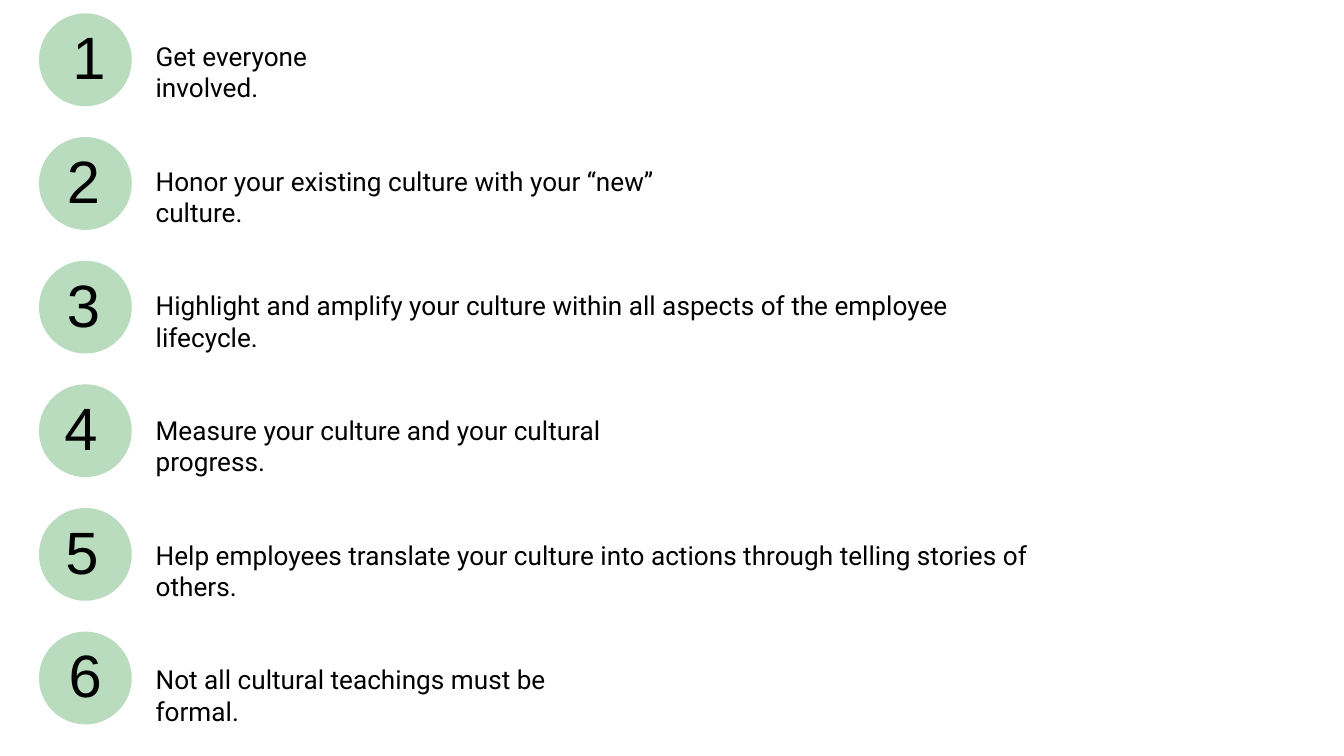
from pptx import Presentation
from pptx.dml.color import RGBColor
from pptx.enum.shapes import MSO_SHAPE
from pptx.enum.text import PP_ALIGN
from pptx.oxml.ns import qn
from pptx.util import Inches, Pt
from lxml import etree

OVAL = MSO_SHAPE.OVAL
LEFT, CENTER = PP_ALIGN.LEFT, PP_ALIGN.CENTER
COLORS = {"badge": "419E4D", "text": "000000"}
BADGE_OPACITY = 36  # percent

# step text, text width, number left, number width, number alignment
STEPS = [
    ("Get everyone involved.", 2.03, 0.44, 0.41, LEFT),
    ("Honor your existing culture with your “new” culture.", 4.34, 0.4, 0.5, LEFT),
    ("Highlight and amplify your culture within all aspects of the employee lifecycle.",
     6.42, 0.4, 0.48, LEFT),
    ("Measure your culture and your cultural progress.", 4.07, 0.38, 0.48, LEFT),
    ("Help employees translate your culture into actions through telling stories of others.",
     6.91, 0.29, 0.64, CENTER),
    ("Not all cultural teachings must be formal.", 3.54, 0.33, 0.61, CENTER),
]

BADGE_LEFT, BADGE_TOP, BADGE_SIZE, BADGE_PITCH = 0.29, 0.1, 0.69, 0.92
TEXT_LEFT, TEXT_TOP, TEXT_HEIGHT = 1.06, 0.25, 0.34
TEXT_PITCH = 4.64 / (len(STEPS) - 1)
NUMBER_HEIGHT = 0.64


def add_text(shapes, text, left, top, width, height, font, size, align=LEFT):
    box = shapes.add_textbox(*map(Inches, (left, top, width, height)))
    box.text_frame.word_wrap = True
    para = box.text_frame.paragraphs[0]
    para.text = text
    para.alignment = align
    para.font.name = font
    para.font.size = Pt(size)
    para.font.color.rgb = RGBColor.from_string(COLORS["text"])


def add_badge(shapes, top):
    """Add a borderless, see-through circle."""
    badge = shapes.add_shape(
        OVAL, *map(Inches, (BADGE_LEFT, top, BADGE_SIZE, BADGE_SIZE)))
    badge.shadow.inherit = False
    badge.line.fill.background()
    badge.fill.solid()
    badge.fill.fore_color.rgb = RGBColor.from_string(COLORS["badge"])
    color = badge.element.spPr.find(qn("a:solidFill"))[0]
    etree.SubElement(color, qn("a:alpha"), val=str(BADGE_OPACITY * 1000))


deck = Presentation()
deck.slide_width = Inches(10)
deck.slide_height = deck.slide_width * 9 // 16
slide = deck.slides.add_slide(deck.slide_layouts[6])

for row, (text, text_width, number_left, number_width, align) in enumerate(STEPS):
    badge_top = BADGE_TOP + row * BADGE_PITCH
    group = slide.shapes.add_group_shape()
    add_badge(group.shapes, badge_top)
    add_text(group.shapes, str(row + 1), number_left, badge_top,
             number_width, NUMBER_HEIGHT, "Arial", 32, align)
    add_text(slide.shapes, text, TEXT_LEFT, TEXT_TOP + row * TEXT_PITCH,
             text_width, TEXT_HEIGHT, "Roboto", 14)

deck.save("out.pptx")
